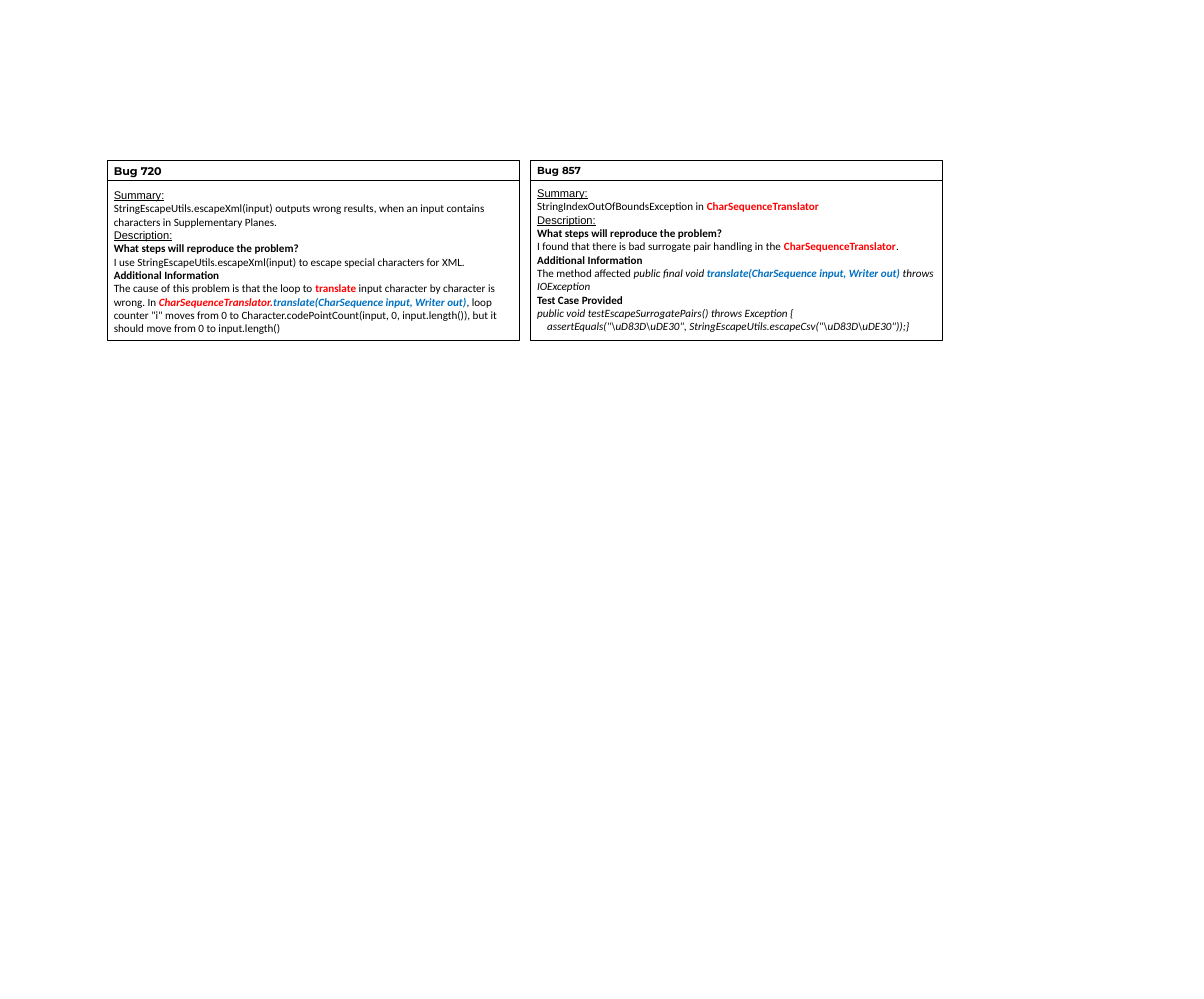
from pptx import Presentation
from pptx.dml.color import RGBColor
from pptx.enum.shapes import MSO_CONNECTOR, MSO_SHAPE
from pptx.enum.text import MSO_ANCHOR, MSO_AUTO_SIZE, PP_ALIGN
from pptx.oxml.ns import qn
from pptx.util import Inches, Pt
from lxml.etree import SubElement

COLORS = {"ink": "000000", "paper": "FFFFFF", "red": "FF0000", "blue": "0070C0"}


def color(name):
    return RGBColor.from_string(COLORS[name])


def add_span(para, text, size=12, font="Calibri", ink="ink", bold=False, italic=False, underline=False):
    span = para.add_run()
    span.text = text
    span.font.size = Pt(size)
    span.font.name = font
    span.font.color.rgb = color(ink)
    span.font.bold = bold
    span.font.italic = italic
    span.font.underline = underline


plain = {}
bold = {"bold": True}
italic = {"italic": True}
label = {"font": "Arial", "underline": True}
red = {"ink": "red", "bold": True}
red_code = {"ink": "red", "bold": True, "italic": True}
blue_code = {"ink": "blue", "bold": True, "italic": True}

summary = [("Summary:", label)]
description = [("Description:", label)]
steps = [("What steps will reproduce the problem?", bold)]
additional = [("Additional Information", bold)]

bugs = [
    {"title": "Bug 720", "title_size": 12, "gap": 12, "lines": [
        summary,
        [("StringEscapeUtils.escapeXml(input) outputs wrong results, when an input contains "
          "characters in Supplementary Planes.", plain)],
        description,
        steps,
        [("I use StringEscapeUtils.escapeXml(input) to escape special characters for XML.", plain)],
        additional,
        [("The cause of this problem is that the loop to ", plain),
         ("translate", red),
         (" input character by character is wrong. In ", plain),
         ("CharSequenceTranslator.", red_code),
         ("translate(CharSequence input, Writer out)", blue_code),
         (", loop counter \"i\" moves from 0 to Character.codePointCount(input, 0, input.length()), "
          "but it should move from 0 to input.length()", plain)],
    ]},
    {"title": "Bug 857", "title_size": 11, "gap": 11, "lines": [
        summary,
        [("StringIndexOutOfBoundsException in ", plain), ("CharSequenceTranslator", red)],
        description,
        steps,
        [("I found that there is bad surrogate pair handling in the ", plain),
         ("CharSequenceTranslator", red),
         (".", plain)],
        additional,
        [("The method affected ", plain),
         ("public final void ", italic),
         ("translate(CharSequence input, Writer out) ", blue_code),
         ("throws IOException", italic)],
        [("Test Case Provided", bold)],
        [("public void testEscapeSurrogatePairs() throws Exception {", italic)],
        [("assertEquals(\"\\uD83D\\uDE30\", StringEscapeUtils.escapeCsv(\"\\uD83D\\uDE30\"));}", italic)],
    ]},
]

deck = Presentation()
deck.slide_width = Inches(18.06)
deck.slide_height = Inches(14.98)
page = deck.slides.add_slide(deck.slide_layouts[6])

percent_x = deck.slide_width / 100
percent_y = deck.slide_height / 100
card_width = int(34.22 * percent_x)
card_height = int(17.96 * percent_y)
card_top = int(16.09 * percent_y)
rule_y = int(18.02 * percent_y)

for column, bug in enumerate(bugs):
    left = int((8.91 + 35.16 * column) * percent_x)
    card = page.shapes.add_group_shape()

    box = card.shapes.add_shape(MSO_SHAPE.RECTANGLE, left, card_top, card_width, card_height)
    box.shadow.inherit = False
    box.fill.solid()
    box.fill.fore_color.rgb = color("paper")
    box.line.color.rgb = color("ink")
    box.line.width = Pt(1)

    frame = box.text_frame
    frame.word_wrap = True
    frame.auto_size = MSO_AUTO_SIZE.SHAPE_TO_FIT_TEXT
    frame.vertical_anchor = MSO_ANCHOR.TOP
    heading = frame.paragraphs[0]
    heading.alignment = PP_ALIGN.LEFT
    add_span(heading, bug["title"], size=bug["title_size"], font="Montserrat", bold=True)
    for line in bug["lines"]:
        para = frame.add_paragraph()
        para.alignment = PP_ALIGN.LEFT
        if line is summary:
            para.space_before = Pt(bug["gap"])
        if line[0][0].startswith("assertEquals"):
            para._p.get_or_add_pPr().set("marL", str(Inches(0.15)))
        for text, style in line:
            add_span(para, text, **style)

    rule = card.shapes.add_connector(MSO_CONNECTOR.STRAIGHT, left, rule_y, left + card_width, rule_y)
    rule.line.color.rgb = color("ink")
    rule.line.width = Pt(1)
    SubElement(rule._element.spPr, qn("a:effectLst"))

deck.save("out.pptx")
